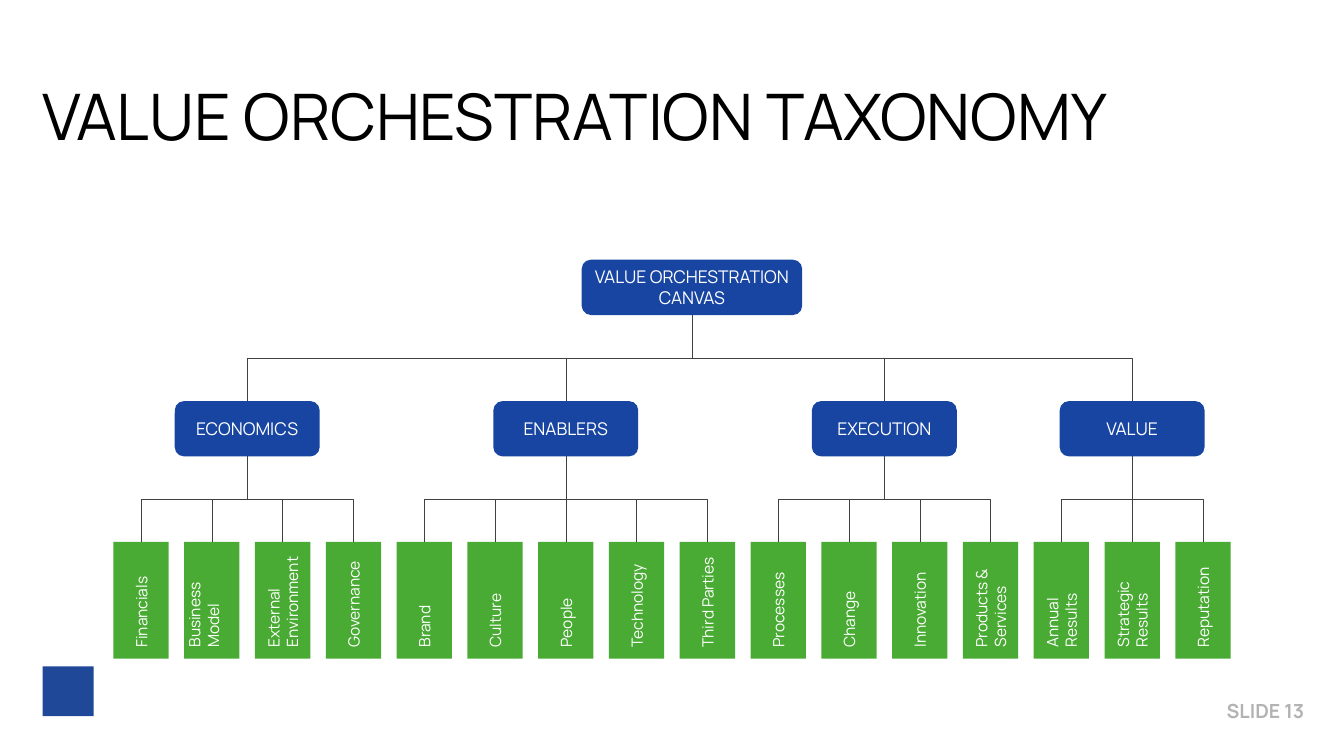
"""Build the value orchestration taxonomy slide."""
from lxml import etree
from pptx import Presentation
from pptx.dml.color import RGBColor
from pptx.enum.shapes import MSO_CONNECTOR, MSO_SHAPE
from pptx.enum.text import MSO_ANCHOR, MSO_AUTO_SIZE, PP_ALIGN
from pptx.oxml.ns import qn
from pptx.util import Inches, Pt

RECT, ROUNDED = MSO_SHAPE.RECTANGLE, MSO_SHAPE.ROUNDED_RECTANGLE
ELBOW, STRAIGHT = MSO_CONNECTOR.ELBOW, MSO_CONNECTOR.STRAIGHT
LEFT, CENTER, RIGHT = PP_ALIGN.LEFT, PP_ALIGN.CENTER, PP_ALIGN.RIGHT
BOTTOM_SITE, TOP_SITE = 2, 0

TITLE = "VALUE ORCHESTRATION TAXONOMY"
ROOT = "VALUE ORCHESTRATION CANVAS"
BRANCHES = {
    "ECONOMICS": ["Financials", "Business Model", "External Environment", "Governance"],
    "ENABLERS": ["Brand", "Culture", "People", "Technology", "Third Parties"],
    "EXECUTION": ["Processes", "Change", "Innovation", "Products & Services"],
    "VALUE": ["Annual Results", "Strategic Results", "Reputation"],
}
FONT = "Manrope"
BLUE, GREEN, GREY = "1745A1", "49AB33", "404040"
BLACK, WHITE, FOOTER_GREY, MARK_BLUE = "000000", "FFFFFF", "B3B3B3", "204898"

BOX_H = 0.79
ROOT_X, ROOT_Y, ROOT_W = 8.31, 3.71, 3.15
BRANCH_Y, BRANCH_W = 5.73, 2.07
LEAF_X, LEAF_LAST_X, LEAF_Y, LEAF_W, LEAF_H = 1.62, 16.79, 7.74, 0.79, 1.67
LEAF_INSETS = (0, 0.08, 0, 0.16)
RAISED_INSETS = {"Business Model": (0, 0.08, 0.24, 0.16)}
LEAF_COUNT = sum(len(names) for names in BRANCHES.values())
PITCH = (LEAF_LAST_X - LEAF_X) / (LEAF_COUNT - 1)


def rgb(color):
    return RGBColor.from_string(color)


def set_text(sp, text, size, color=WHITE, align=CENTER, bold=False,
             insets=(0.1, 0.05, 0.1, 0.05), vert=None):
    tf = sp.text_frame
    tf.word_wrap = True
    tf.auto_size = MSO_AUTO_SIZE.NONE
    tf.vertical_anchor = MSO_ANCHOR.MIDDLE
    (tf.margin_left, tf.margin_top,
     tf.margin_right, tf.margin_bottom) = map(Inches, insets)
    if vert:
        sp._element.txBody.find(qn("a:bodyPr")).set("vert", vert)
    p = tf.paragraphs[0]
    p.alignment = align
    r = p.add_run()
    r.text = text
    r.font.name, r.font.size, r.font.bold = FONT, Pt(size), bold
    r.font.color.rgb = rgb(color)


def add_box(slide, kind, x, y, w, h, color):
    sp = slide.shapes.add_shape(kind, *map(Inches, (x, y, w, h)))
    sp.shadow.inherit = False
    sp.fill.solid()
    sp.fill.fore_color.rgb = rgb(color)
    sp.line.fill.background()
    return sp


def link(slide, parent, child):
    x1, y1 = parent.left + parent.width // 2, parent.top + parent.height
    x2, y2 = child.left + child.width // 2, child.top
    dx, dy = x2 - x1, y2 - y1
    straight = abs(dx) < Inches(0.03)
    if straight:
        x1 = x2
    cxn = slide.shapes.add_connector(STRAIGHT if straight else ELBOW, x1, y1, x2, y2)
    if not straight:
        cxn.begin_connect(parent, BOTTOM_SITE)
        cxn.end_connect(child, TOP_SITE)
        cxn.width, cxn.height = dy, abs(dx)
        cxn.left = (x1 + x2 - dy) // 2
        cxn.top = (y1 + y2 - abs(dx)) // 2
        xfrm = cxn._element.spPr.find(qn("a:xfrm"))
        xfrm.set("rot", str((270 if dx > 0 else 90) * 60000))
        xfrm.set("flipH", "1" if dx > 0 else "0")
        xfrm.set("flipV", "0")
    cxn.line.color.rgb = rgb(GREY)
    cxn.line.width = Pt(0.5)
    etree.SubElement(cxn._element.spPr, qn("a:effectLst"))


def add_tree(slide):
    root = add_box(slide, ROUNDED, ROOT_X, ROOT_Y, ROOT_W, BOX_H, BLUE)
    set_text(root, ROOT, 18)
    first = 0
    for name, leaves in BRANCHES.items():
        middle = LEAF_X + LEAF_W / 2 + PITCH * (first + (len(leaves) - 1) / 2)
        branch = add_box(slide, ROUNDED, middle - BRANCH_W / 2, BRANCH_Y,
                         BRANCH_W, BOX_H, BLUE)
        set_text(branch, name, 18)
        link(slide, root, branch)
        for i, text in enumerate(leaves, first):
            leaf = add_box(slide, RECT, LEAF_X + PITCH * i, LEAF_Y, LEAF_W, LEAF_H, GREEN)
            set_text(leaf, text, 16, align=LEFT, vert="vert270",
                     insets=RAISED_INSETS.get(text, LEAF_INSETS))
            link(slide, branch, leaf)
        first += len(leaves)


def main():
    prs = Presentation()
    prs.slide_width, prs.slide_height = Inches(19.2), Inches(10.8)
    slide = prs.slides.add_slide(prs.slide_layouts[5])

    title = slide.shapes.title
    title.left, title.top, title.width, title.height = map(Inches, (0.6, 0.85, 18, 1.57))
    set_text(title, TITLE, 66, color=BLACK, align=LEFT, insets=(0, 0, 0, 0))

    add_box(slide, RECT, 0.61, 9.52, 0.73, 0.71, MARK_BLUE)
    number = slide.shapes.add_textbox(*map(Inches, (16.93, 9.93, 1.8, 0.44)))
    set_text(number, "SLIDE 13", 20, color=FOOTER_GREY, align=RIGHT, bold=True)

    add_tree(slide)
    prs.save("out.pptx")


if __name__ == "__main__":
    main()
